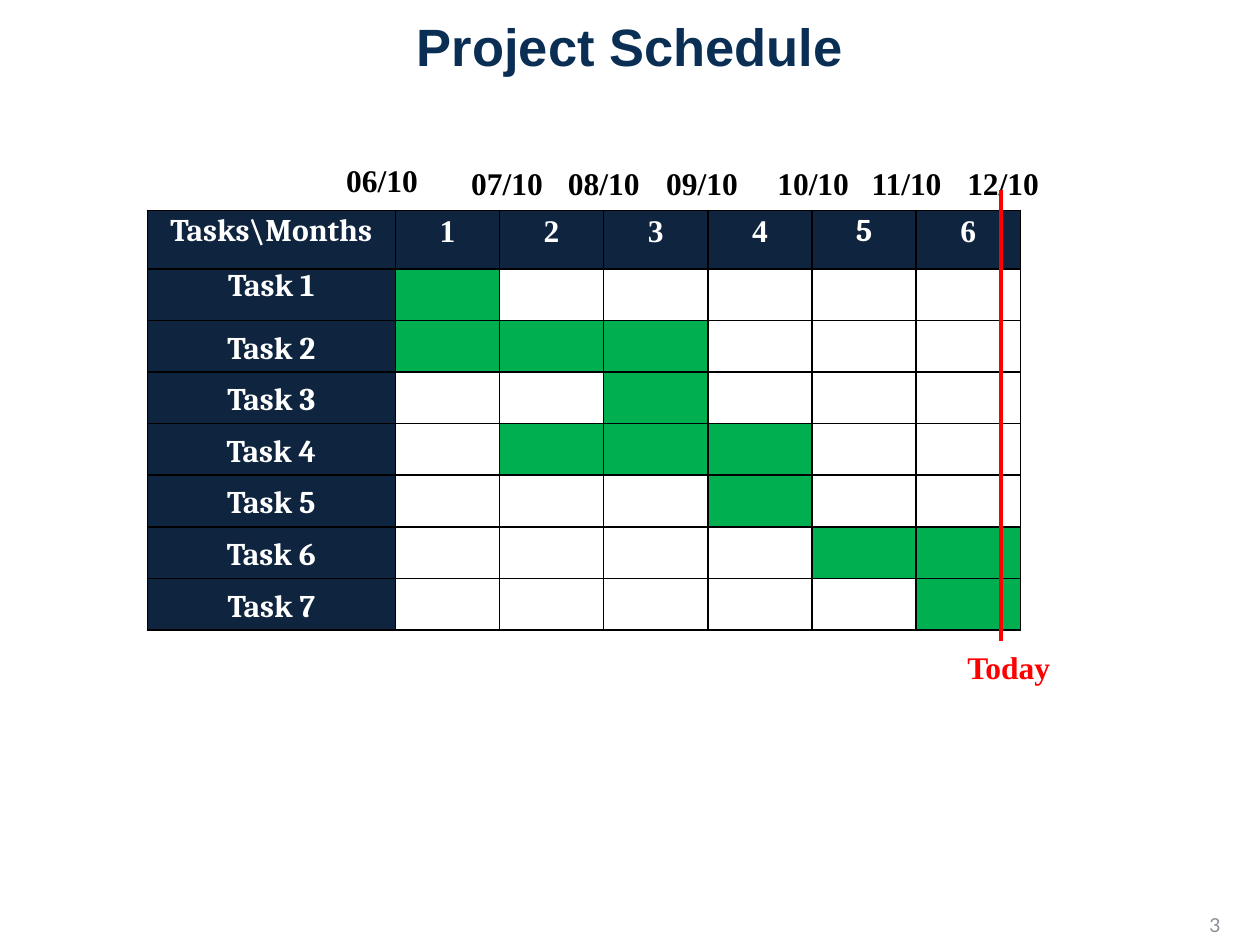
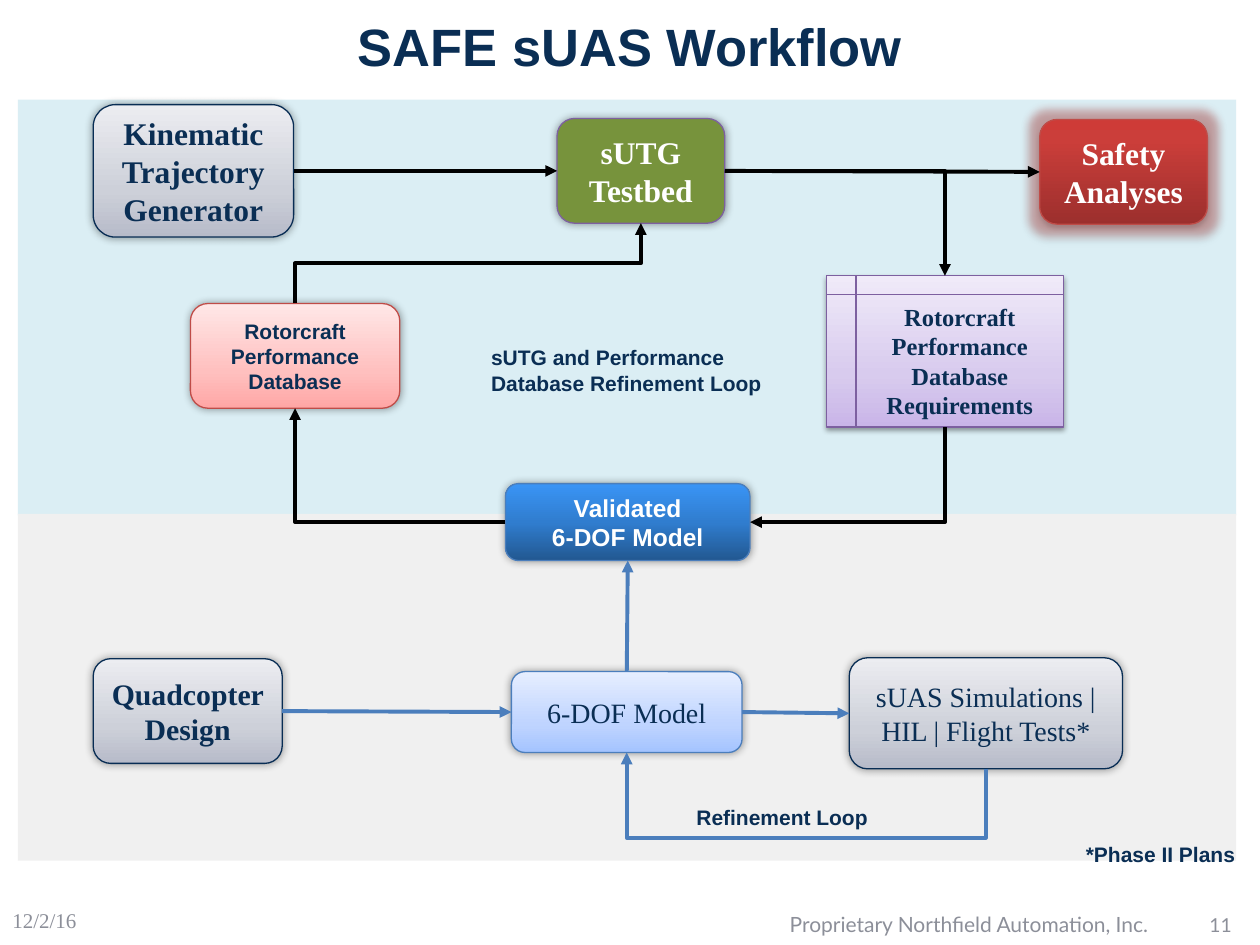
from dataclasses import dataclass

from lxml import etree
from pptx import Presentation
from pptx.dml.color import RGBColor
from pptx.enum.shapes import MSO_CONNECTOR, MSO_SHAPE
from pptx.enum.text import MSO_ANCHOR, PP_ALIGN
from pptx.oxml.ns import qn
from pptx.util import Cm, Pt

STRAIGHT, ELBOW = MSO_CONNECTOR.STRAIGHT, MSO_CONNECTOR.ELBOW
RECT, ROUND = MSO_SHAPE.RECTANGLE, MSO_SHAPE.ROUNDED_RECTANGLE
STORAGE = MSO_SHAPE.FLOWCHART_INTERNAL_STORAGE
TOP, MIDDLE = MSO_ANCHOR.TOP, MSO_ANCHOR.MIDDLE
LEFT, CENTER = PP_ALIGN.LEFT, PP_ALIGN.CENTER


@dataclass(frozen=True)
class Theme:
    navy: str = "0A2E54"
    header: str = "0F243E"
    done: str = "00B050"
    white: str = "FFFFFF"
    black: str = "000000"
    red: str = "FF0000"
    blue: str = "4B7EBC"
    muted: str = "8C8F99"
    sky: str = "DBEEF4"
    mist: str = "F0F0F0"
    glow: str = "C0504D"
    sans: str = "Arial"
    serif: str = "Times New Roman"
    table: str = "Cambria"
    foot: str = "Lato"
    title: float = 30
    large: float = 18
    medium: float = 16
    body: float = 14
    small: float = 12
    page: float = 11
    line: float = 2.25
    outline: float = 0.75


T = Theme()

SOFT = (40, 5, 0)
STYLES = {
    "grey": (((0, "B7BBC9"), (35, "CDD0D9"), (100, "ECEDF1")), "082D54", SOFT),
    "green": ("77933C", "7D60A0", SOFT),
    "pink": (((0, "FFA6A5"), (35, "FFC0BF"), (100, "FFE7E7")), "BF4C48", SOFT),
    "red": (((0, "9C2F2D"), (80, "CB3E3A"), (100, "CE3B37")), "BF4C48", (35, 3.1, 1.8)),
    "purple": (((0, "C9B5E8"), (35, "D8CBEE"), (100, "F0EAF9")), "7D60A0", (38, 3.1, 1.6)),
    "blue": (((0, "225891"), (50, "307DCF"), (100, "3994F5")), T.blue, SOFT),
    "pale": (((0, "A4C4FF"), (35, "BFD4FF"), (100, "E6EEFF")), T.blue, SOFT),
}

MONTHS = [("06/10", 6.73, 3.12), ("07/10", 9.25, 3.18), ("08/10", 11.2, 3.18),
          ("09/10", 13.18, 3.18), ("10/10", 15.42, 3.18), ("11/10", 17.32, 3.18),
          ("12/10", 19.25, 3.18)]
TASKS = [("Task 1", 1, 1), ("Task 2", 1, 3), ("Task 3", 3, 3), ("Task 4", 2, 4),
         ("Task 5", 4, 4), ("Task 6", 5, 6), ("Task 7", 6, 6)]
MONTH_COUNT = 6
GRID_LEFT, GRID_TOP = 2.97, 4.24
TASK_W, MONTH_W, HEAD_H, TASK_H = 5, 2.1, 1.18, 1.04
TODAY_X, TODAY_TOP, TODAY_BOTTOM = 20.17, 3.84, 12.93

BANDS = [((0.36, 2.01, 24.56, 8.38), T.sky), ((0.36, 10.36, 24.56, 6.99), T.mist)]
NODES = {
    "kinematic": ("Kinematic Trajectory Generator", (1.88, 2.11, 4.04, 2.67),
                  ROUND, "grey", T.serif, T.large, T.navy, True),
    "testbed": ("sUTG\nTestbed", (11.23, 2.39, 3.38, 2.11),
                ROUND, "green", T.serif, T.large, T.white, True),
    "database": ("Rotorcraft Performance Database", (3.84, 6.12, 4.22, 2.11),
                 ROUND, "pink", T.sans, T.small, T.navy, True),
    "safety": ("Safety\nAnalyses", (20.96, 2.41, 3.38, 2.11),
               ROUND, "red", T.serif, T.large, T.white, True),
    "design": ("Quadcopter Design", (1.88, 13.28, 3.81, 2.11),
               ROUND, "grey", T.serif, 17, T.navy, True),
    "needs": ("Rotorcraft Performance Database Requirements", (16.66, 5.56, 4.78, 3.05),
              STORAGE, "purple", T.serif, T.body, T.navy, True),
    "validated": ("Validated\n6-DOF Model", (10.19, 9.75, 4.93, 1.55),
                  ROUND, "blue", T.sans, T.body, T.white, True),
    "model": ("6-DOF Model", (10.31, 13.54, 4.65, 1.63),
              ROUND, "pale", T.serif, T.medium, T.navy, False),
    "tests": ("sUAS Simulations | HIL | Flight Tests*", (17.12, 13.26, 5.51, 2.24),
              ROUND, "grey", T.serif, T.medium, T.navy, False),
}
LINKS = [
    ("kinematic", "right", "testbed", "left", T.black, None),
    ("testbed", "right", "needs", "top", T.black, None),
    ("needs", "bottom", "validated", "right", T.black, None),
    ("validated", "left", "database", "bottom", T.black, None),
    ("database", "top", "testbed", "bottom", T.black, None),
    ("testbed", "right", "safety", "left", T.black, None),
    ("design", "right", "model", "left", T.blue, None),
    ("model", "right", "tests", "left", T.blue, None),
    ("tests", "bottom", "model", "bottom", T.blue, -4.2),
    ("model", "top", "validated", "bottom", T.blue, None),
]
CAPTIONS = [
    ("sUTG and Performance\nDatabase Refinement Loop", (9.65, 6.83, 6.02, 1.27)),
    ("Refinement Loop", (13.79, 16.1, 4.01, 0.76)),
    ("*Phase II Plans", (21.64, 16.84, 3.56, 0.76)),
]
SIDES = {"left": (0, 0.5), "right": (1, 0.5), "top": (0.5, 0), "bottom": (0.5, 1)}


def rgb(value):
    return RGBColor.from_string(value)


def cms(box):
    return [Cm(v) for v in box]


def child(parent, tag, **attrs):
    el = etree.SubElement(parent, qn(tag))
    for key, value in attrs.items():
        el.set(key, str(value))
    return el


def write(tf, text, font, size, color, bold=False, align=LEFT, anchor=MIDDLE):
    tf.text = text
    tf.vertical_anchor = anchor
    for p in tf.paragraphs:
        p.alignment = align
        for r in p.runs:
            r.font.name, r.font.size, r.font.bold = font, Pt(size), bold
            r.font.color.rgb = rgb(color)


def add_text(s, box, text, font, size, color, bold=False, wrap=False, anchor=TOP):
    tf = s.shapes.add_textbox(*cms(box)).text_frame
    tf.word_wrap = wrap
    write(tf, text, font, size, color, bold, anchor=anchor)


def add_slide(prs, title, number):
    s = prs.slides.add_slide(prs.slide_layouts[5])
    sp = s.shapes.title
    sp.left, sp.top, sp.width, sp.height = cms((1.27, 0.13, 22.86, 1.57))
    write(sp.text_frame, title, T.sans, T.title, T.navy, True, CENTER)
    add_text(s, (24.13, 18.24, 1.27, 0.81), number, T.foot, T.page, T.muted,
             wrap=True, anchor=MIDDLE)
    return s


def add_line(s, kind, begin, end, color):
    c = s.shapes.add_connector(kind, *cms(begin + end))
    c.line.color.rgb, c.line.width = rgb(color), Pt(T.line)
    child(c._element.spPr, "a:effectLst")
    return c


def add_arrow(s, begin, end, sides, color, bend):
    (x1, y1), (x2, y2) = begin, end
    dx, dy = x2 - x1, y2 - y1
    starts_upright, ends_upright = (side in ("top", "bottom") for side in sides)
    if min(abs(dx), abs(dy)) < 0.1:
        c = add_line(s, STRAIGHT, begin, end, color)
    else:
        if starts_upright:
            cx, cy = (x1 + x2) / 2, (y1 + y2) / 2
            begin = (cx - dy / 2, cy + dx / 2)
            end = (cx + dy / 2, cy - dx / 2)
        c = add_line(s, ELBOW, begin, end, color)
        spPr = c._element.spPr
        if starts_upright:
            spPr.find(qn("a:xfrm")).set("rot", "5400000")
        geom = spPr.find(qn("a:prstGeom"))
        if starts_upright != ends_upright:
            geom.set("prst", "bentConnector2")
        if bend is not None:
            guides = geom.find(qn("a:avLst"))
            child(guides, "a:gd", name="adj1", fmla=f"val {round(bend * 100000)}")
    child(c._element.spPr.find(qn("a:ln")), "a:tailEnd", type="triangle")


def paint(sp, style):
    fill, outline, (alpha, blur, dist) = STYLES[style]
    spPr = sp._element.spPr
    if isinstance(fill, str):
        sp.fill.solid()
        sp.fill.fore_color.rgb = rgb(fill)
    else:
        sp.fill.gradient()
        sp.fill.gradient_angle = 90
        stops = spPr.find(qn("a:gradFill")).find(qn("a:gsLst"))
        for gs in list(stops):
            stops.remove(gs)
        for pos, color in fill:
            child(child(stops, "a:gs", pos=pos * 1000), "a:srgbClr", val=color)
    sp.line.color.rgb, sp.line.width = rgb(outline), Pt(T.outline)
    sp.shadow.inherit = False
    effects = spPr.find(qn("a:effectLst"))
    if style == "red":
        glow = child(effects, "a:glow", rad=Pt(11))
        child(child(glow, "a:srgbClr", val=T.glow), "a:alpha", val=40000)
    shadow = child(effects, "a:outerShdw", blurRad=Pt(blur), dist=Pt(dist),
                   dir=5400000 if dist else 0, rotWithShape=0)
    child(child(shadow, "a:srgbClr", val=T.black), "a:alpha", val=alpha * 1000)


def format_cell(cell, fill):
    cell.margin_left = cell.margin_right = Cm(0.13)
    cell.margin_top = cell.margin_bottom = 0
    cell.vertical_anchor = MIDDLE
    tcPr = cell._tc.get_or_add_tcPr()
    for tag in ("a:lnL", "a:lnR", "a:lnT", "a:lnB"):
        ln = child(tcPr, tag, w=Pt(1))
        child(child(ln, "a:solidFill"), "a:srgbClr", val=T.black)
    cell.fill.solid()
    cell.fill.fore_color.rgb = rgb(fill)


def schedule_slide(prs):
    s = add_slide(prs, "Project Schedule", "3")
    size = (TASK_W + MONTH_COUNT * MONTH_W, HEAD_H + len(TASKS) * TASK_H)
    table = s.shapes.add_table(len(TASKS) + 1, MONTH_COUNT + 1,
                               *cms((GRID_LEFT, GRID_TOP) + size)).table
    table.first_row = table.horz_banding = False
    for i, col in enumerate(table.columns):
        col.width = Cm(MONTH_W if i else TASK_W)
    for i, row in enumerate(table.rows):
        row.height = Cm(TASK_H if i else HEAD_H)
    rows = [("Tasks\\Months", 0, 0)] + TASKS
    for i, (label, first, last) in enumerate(rows):
        for j in range(MONTH_COUNT + 1):
            cell = table.cell(i, j)
            if i and j:
                format_cell(cell, T.done if first <= j <= last else T.white)
                continue
            format_cell(cell, T.header)
            font = T.table if j in (0, 5) else T.serif
            write(cell.text_frame, str(j) if j else label, font, T.large, T.white, True, CENTER)
            cell.text_frame.paragraphs[0].line_spacing = 1.15 if i > 1 else Pt(11)
    for month, x, y in MONTHS:
        add_text(s, (x, y, 1.98, 1.02), month, T.serif, T.large, T.black, True)
    add_line(s, STRAIGHT, (TODAY_X, TODAY_TOP), (TODAY_X, TODAY_BOTTOM), T.red)
    add_text(s, (19.25, TODAY_BOTTOM, 2.21, 1.02), "Today", T.serif, T.large, T.red, True)


def site(name, side):
    x, y, w, h = NODES[name][1]
    fx, fy = SIDES[side]
    return x + fx * w, y + fy * h


def workflow_slide(prs):
    s = add_slide(prs, "SAFE sUAS Workflow", "11")
    add_text(s, (15.67, 18.21, 9.73, 0.84), "Proprietary Northfield Automation, Inc.",
             T.foot, T.small, T.muted, wrap=True, anchor=MIDDLE)
    add_text(s, (0, 18.03, 5.92, 1.02), "12/2/16", T.serif, T.small, T.muted,
             wrap=True, anchor=MIDDLE)
    for box, color in BANDS:
        sp = s.shapes.add_shape(RECT, *cms(box))
        sp.fill.solid()
        sp.fill.fore_color.rgb = rgb(color)
        sp.line.fill.background()
        sp.shadow.inherit = False
    for text, box, shape, style, font, size, color, bold in NODES.values():
        sp = s.shapes.add_shape(shape, *cms(box))
        paint(sp, style)
        write(sp.text_frame, text, font, size, color, bold, CENTER)
    for start, out, finish, into, color, bend in LINKS:
        add_arrow(s, site(start, out), site(finish, into), (out, into), color, bend)
    for text, box in CAPTIONS:
        add_text(s, box, text, T.sans, T.small, T.navy, True)


def main():
    prs = Presentation()
    prs.slide_width, prs.slide_height = Cm(25.4), Cm(19.05)
    schedule_slide(prs)
    workflow_slide(prs)
    prs.save("out.pptx")


if __name__ == "__main__":
    main()
